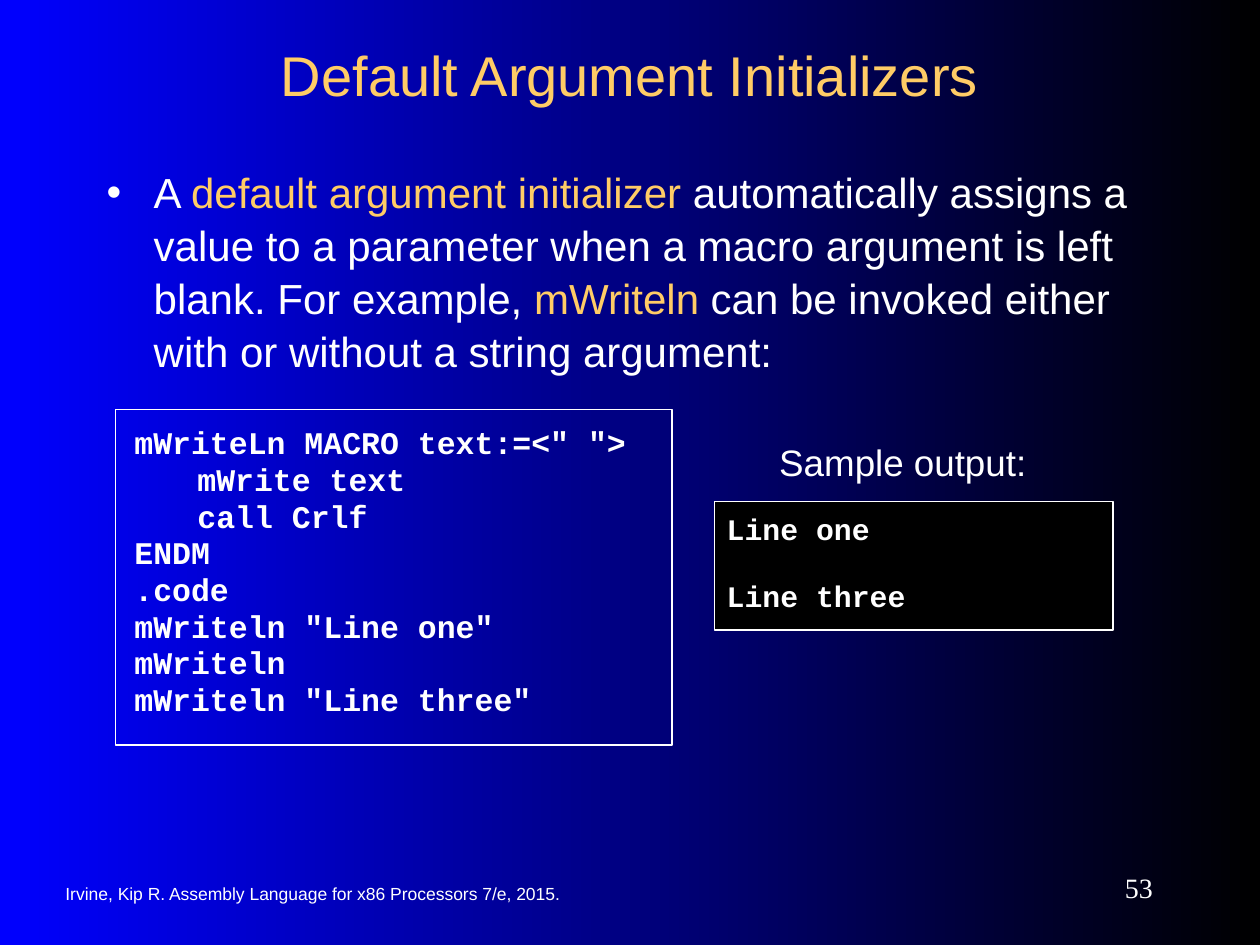
from dataclasses import dataclass

from lxml.etree import SubElement
from pptx import Presentation
from pptx.dml.color import RGBColor
from pptx.enum.shapes import MSO_SHAPE as Shape
from pptx.enum.text import MSO_ANCHOR as Anchor, MSO_AUTO_SIZE as Auto, PP_ALIGN as Align
from pptx.oxml.ns import qn
from pptx.util import Cm, Pt

WHITE, GOLD, BLUE, BLACK = "FFFFFF", "FFCC66", "0000FF", "000000"
SANS, MONO, SERIF = "Arial", "Courier New", "Times New Roman"


@dataclass
class Box:
    left: float
    top: float
    width: float
    height: float
    inset: float = 0.13
    side: float = 0.25
    anchor: Anchor = Anchor.TOP


@dataclass
class Style:
    font: str
    size: float
    color: str = WHITE
    bold: bool = False
    align: Align = Align.LEFT
    line: float = 1.0


@dataclass
class Line:
    text: str
    gap: float = 0


def paint(text: str) -> RGBColor:
    return RGBColor.from_string(text)


def place(shape, box: Box):
    """Set position, insets and anchor; return the text frame."""
    shape.left, shape.top = Cm(box.left), Cm(box.top)
    shape.width, shape.height = Cm(box.width), Cm(box.height)
    frame = shape.text_frame
    frame.word_wrap, frame.auto_size = True, Auto.NONE
    frame.vertical_anchor = box.anchor
    frame.margin_top = frame.margin_bottom = Cm(box.inset)
    frame.margin_left = frame.margin_right = Cm(box.side)
    return frame


def add_run(para, text: str, style: Style, color: str = "") -> None:
    run = para.add_run()
    run.text = text
    font = run.font
    font.name, font.size, font.bold = style.font, Pt(style.size), style.bold
    font.color.rgb = paint(color or style.color)


def format_para(para, style: Style) -> None:
    para.alignment, para.line_spacing = style.align, style.line


def label(shape, box: Box, text: str, style: Style) -> None:
    para = place(shape, box).paragraphs[0]
    format_para(para, style)
    add_run(para, text, style)


def add_box(slide):
    return slide.shapes.add_textbox(0, 0, 0, 0)


def add_code(slide, box: Box, lines: list[Line], style: Style, fill: str = "") -> None:
    panel = slide.shapes.add_shape(Shape.RECTANGLE, 0, 0, 0, 0)
    panel.shadow.inherit = False
    if fill:
        panel.fill.solid()
        panel.fill.fore_color.rgb = paint(fill)
    else:
        panel.fill.background()
    panel.line.color.rgb, panel.line.width = paint(WHITE), Pt(0.75)
    frame = place(panel, box)
    for i, line in enumerate(lines):
        para = frame.add_paragraph() if i else frame.paragraphs[0]
        format_para(para, style)
        if line.gap:
            para.space_before = Pt(line.gap)
        if line.text.startswith("\t"):
            tabs = SubElement(para._p.get_or_add_pPr(), qn("a:tabLst"))
            SubElement(tabs, qn("a:tab"), pos=str(Cm(1.27)), algn="l")
        add_run(para, line.text, style)


def add_bullet(slide, box: Box, parts: list[tuple[str, str]], style: Style) -> None:
    para = place(add_box(slide), box).paragraphs[0]
    format_para(para, style)
    props = para._p.get_or_add_pPr()
    props.set("marL", str(Cm(0.95)))
    props.set("indent", str(-Cm(0.95)))
    tint = SubElement(props, qn("a:buClr"))
    SubElement(tint, qn("a:srgbClr"), val=WHITE)
    SubElement(props, qn("a:buFont"), typeface=SANS)
    SubElement(props, qn("a:buChar"), char="•")
    for text, color in parts:
        add_run(para, text, style, color)


def main() -> None:
    deck = Presentation()
    deck.slide_width, deck.slide_height = Cm(25.4), Cm(19.05)
    slide = deck.slides.add_slide(deck.slide_layouts[5])

    # Background
    back = slide.background.fill
    back.gradient()
    back.gradient_angle = 0
    for stop, color, pos in zip(back.gradient_stops, (BLUE, BLACK), (0, 1)):
        stop.color.rgb, stop.position = paint(color), pos

    # Title
    label(slide.shapes.title, Box(1.9, 0.64, 21.6, 1.7, anchor=Anchor.MIDDLE),
          "Default Argument Initializers", Style(SANS, 32, GOLD, align=Align.CENTER))

    # Explanation
    add_bullet(slide, Box(1.9, 3.18, 21.6, 5.08), [
        ("A ", WHITE),
        ("default argument initializer", GOLD),
        (" automatically assigns a value to a parameter when a macro argument"
         " is left blank. For example, ", WHITE),
        ("mWriteln", GOLD),
        (" can be invoked either with or without a string argument:", WHITE),
    ], Style(SANS, 24, line=1.05))

    # Macro code
    code = ['mWriteLn MACRO text:=<" ">', "\tmWrite text", "\tcall Crlf", "ENDM", ".code",
            'mWriteln "Line one"', "mWriteln", 'mWriteln "Line three"']
    add_code(slide, Box(2.33, 8.25, 11.22, 6.77, 0.33, 0.38),
             [Line(text) for text in code], Style(MONO, 18, bold=True, line=0.97))

    # Sample output
    add_code(slide, Box(14.4, 10.11, 8.04, 2.59, 0.22),
             [Line("Line one"), Line("Line three", 19)],
             Style(MONO, 17, bold=True, line=0.97), BLACK)
    label(add_box(slide), Box(13.97, 8.46, 8.46, 1.65, 0.4), "Sample output:",
          Style(SANS, 21, align=Align.CENTER))

    # Footer
    label(add_box(slide), Box(1.07, 17.6, 12.07, 0.84, anchor=Anchor.MIDDLE),
          "Irvine, Kip R. Assembly Language for x86 Processors 7/e, 2015.", Style(SANS, 10))
    label(add_box(slide), Box(20.75, 17.35, 2.74, 1.07, anchor=Anchor.MIDDLE), "53",
          Style(SERIF, 16, align=Align.RIGHT))

    deck.save("out.pptx")


if __name__ == "__main__":
    main()
